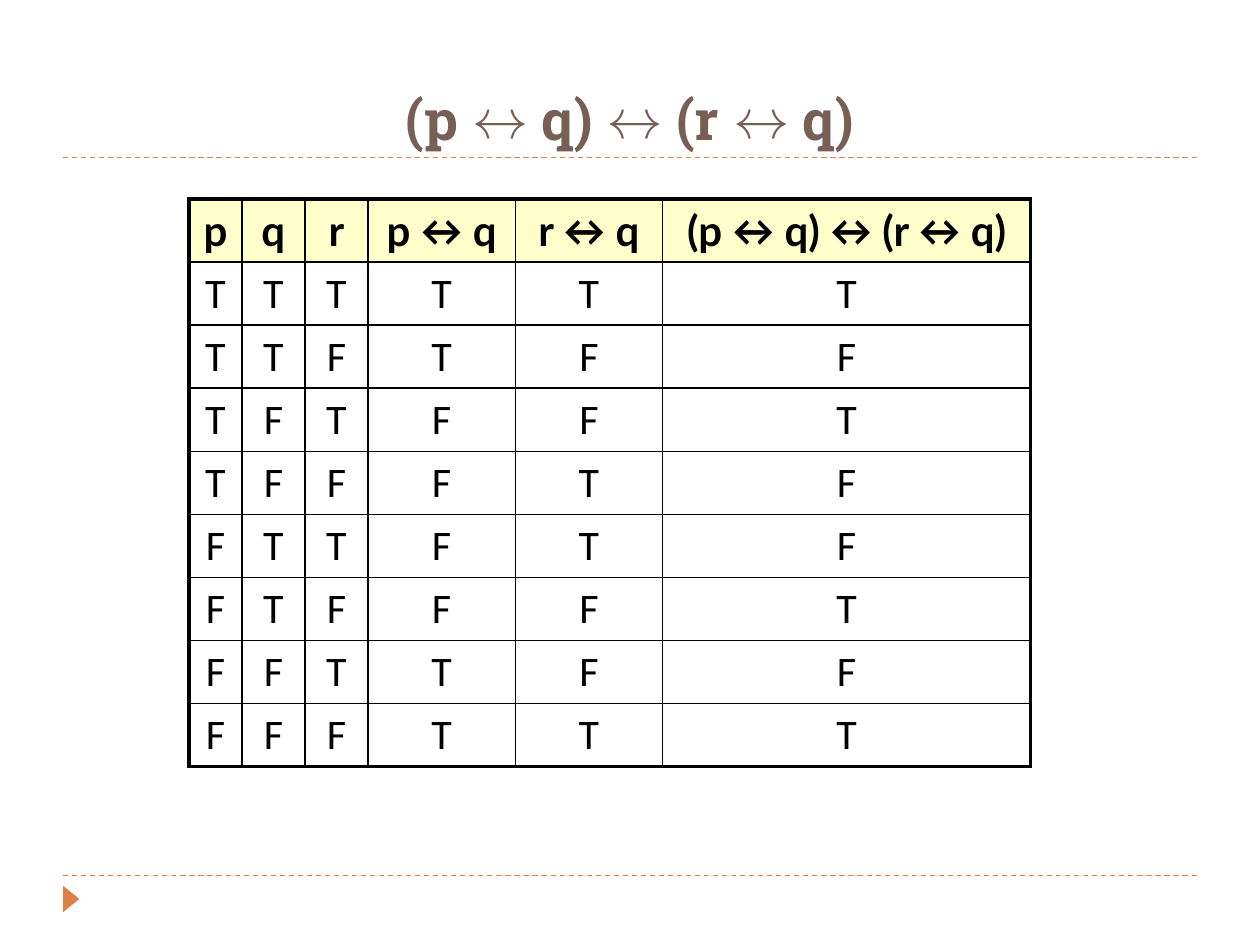
"""Build a truth table slide for a nested biconditional."""
import lxml.etree
import pptx
import pptx.dml.color
import pptx.enum.dml
import pptx.enum.shapes
import pptx.enum.text
import pptx.oxml.ns
import pptx.util

FORMULA = "(p ↔ q) ↔ (r ↔ q)"
HEADINGS = ["p", "q", "r", "p ↔ q", "r ↔ q", FORMULA]
TRUTH_ROWS = ["TTTTTT", "TTFTFF", "TFTFFT", "TFFFTF",
              "FTTFTF", "FTFFFT", "FFTTFF", "FFFTTT"]
COLUMN_WIDTHS = [0.42, 0.5, 0.5, 1.17, 1.17, 2.92]
ROW_HEIGHT = 0.5
WIDTH, HEIGHT, MARGIN = 10, 7.5, 0.5
RULE_TOPS = [1.25, 6.95]
ACCENT, TITLE, HEADER, BLACK = "DD8047", "775F55", "FFFFCC", "000000"
THIN, THICK = 1, 2.25
CENTER = pptx.enum.text.PP_ALIGN.CENTER

inch = pptx.util.Inches
point = pptx.util.Pt
qualify = pptx.oxml.ns.qn


def color(value):
    return pptx.dml.color.RGBColor.from_string(value)


def style_paragraph(para, font, size, shade, bold):
    para.alignment = CENTER
    for span in para.runs:
        span.font.name = font
        span.font.size = point(size)
        span.font.color.rgb = color(shade)
        span.font.bold = bold


def add_rule(page, top):
    rule = page.shapes.add_connector(
        pptx.enum.shapes.MSO_CONNECTOR.STRAIGHT,
        inch(MARGIN), inch(top), inch(WIDTH - MARGIN), inch(top))
    rule.line.color.rgb = color(ACCENT)
    rule.line.width = point(0.75)
    rule.line.dash_style = pptx.enum.dml.MSO_LINE.DASH
    lxml.etree.SubElement(rule._element.spPr, qualify("a:effectLst"))


def add_marker(page):
    marker = page.shapes.add_shape(
        pptx.enum.shapes.MSO_SHAPE.ISOSCELES_TRIANGLE,
        inch(0.46), inch(7.07), inch(0.21), inch(0.13))
    marker.rotation = 90
    marker.shadow.inherit = False
    marker.fill.solid()
    marker.fill.fore_color.rgb = color(ACCENT)
    marker.line.fill.background()


def add_title(page):
    box = page.shapes.add_textbox(
        inch(MARGIN), inch(0.17), inch(WIDTH - 2 * MARGIN), inch(1.08))
    frame = box.text_frame
    frame.word_wrap = True
    frame.vertical_anchor = pptx.enum.text.MSO_ANCHOR.BOTTOM
    frame.text = FORMULA
    style_paragraph(frame.paragraphs[0], "Roboto Slab", 32, TITLE, True)


def add_borders(cell, widths):
    properties = cell._tc.get_or_add_tcPr()
    for side, width in widths.items():
        border = lxml.etree.SubElement(
            properties, qualify(f"a:ln{side}"), w=str(point(width)))
        fill = lxml.etree.SubElement(border, qualify("a:solidFill"))
        lxml.etree.SubElement(fill, qualify("a:srgbClr"), val=BLACK)


def add_truth_table(page):
    rows = [HEADINGS, *TRUTH_ROWS]
    last_row, last_column = len(rows) - 1, len(HEADINGS) - 1
    table = page.shapes.add_table(
        len(rows), len(HEADINGS), inch(1.5), inch(1.58),
        inch(sum(COLUMN_WIDTHS)), inch(ROW_HEIGHT * len(rows))).table
    table.first_row = table.horz_banding = False
    for column, width in zip(table.columns, COLUMN_WIDTHS):
        column.width = inch(width)
    for row, values in enumerate(rows):
        is_header = row == 0
        for column, value in enumerate(values):
            cell = table.cell(row, column)
            cell.text_frame.text = value
            para = cell.text_frame.paragraphs[0]
            para.space_after = point(10)
            style_paragraph(para, "Lato" if is_header else "Calibri",
                            24, BLACK, is_header)
            add_borders(cell, {
                "L": THICK if column == 0 else THIN,
                "R": THICK if column == last_column else THIN,
                "T": THICK if is_header else THIN,
                "B": THICK if row == last_row else THIN})
            if is_header:
                cell.fill.solid()
                cell.fill.fore_color.rgb = color(HEADER)
            else:
                cell.fill.background()


def main():
    deck = pptx.Presentation()
    deck.slide_width, deck.slide_height = inch(WIDTH), inch(HEIGHT)
    page = deck.slides.add_slide(deck.slide_layouts[6])
    for top in RULE_TOPS:
        add_rule(page, top)
    add_marker(page)
    add_title(page)
    add_truth_table(page)
    deck.save("out.pptx")


if __name__ == "__main__":
    main()
